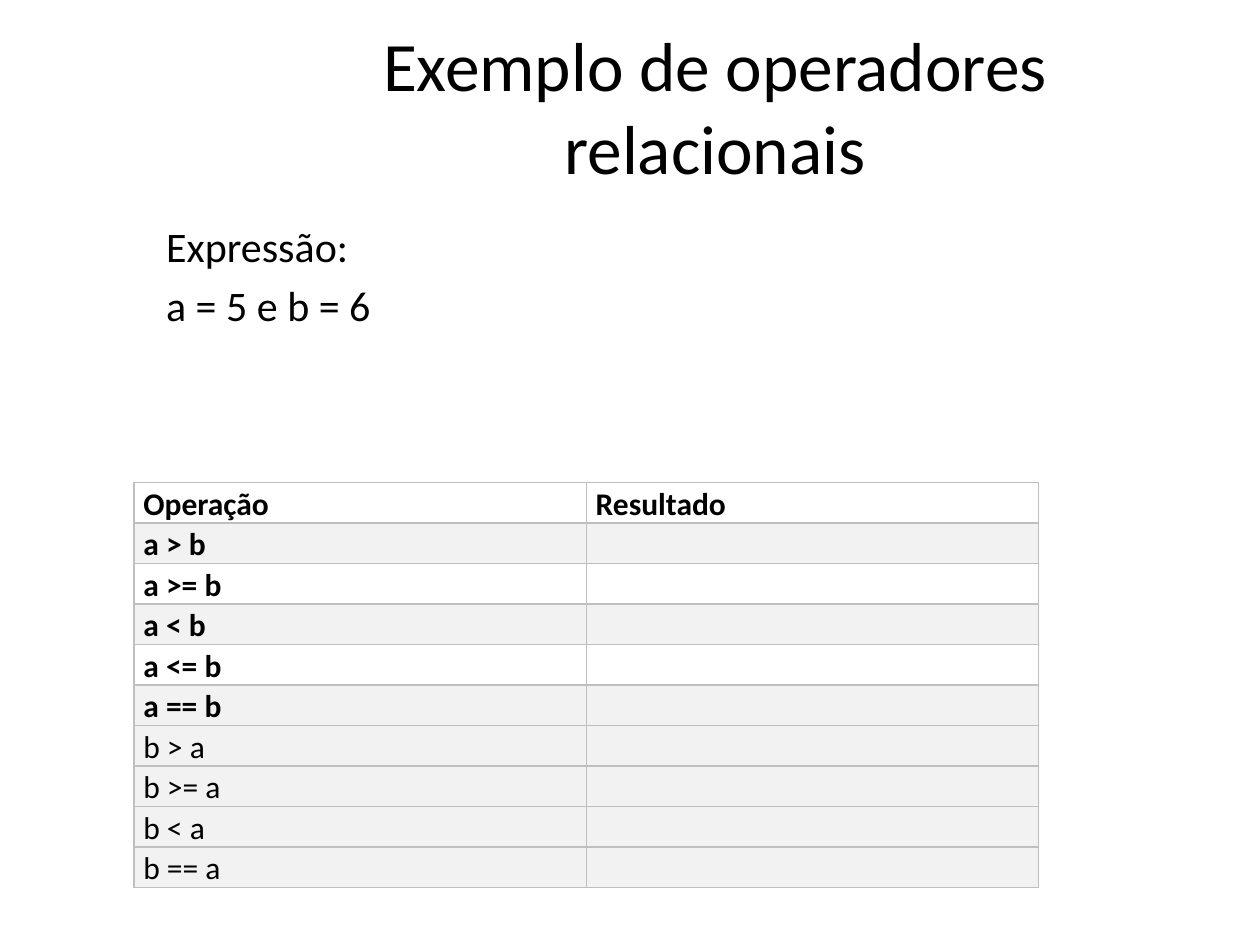
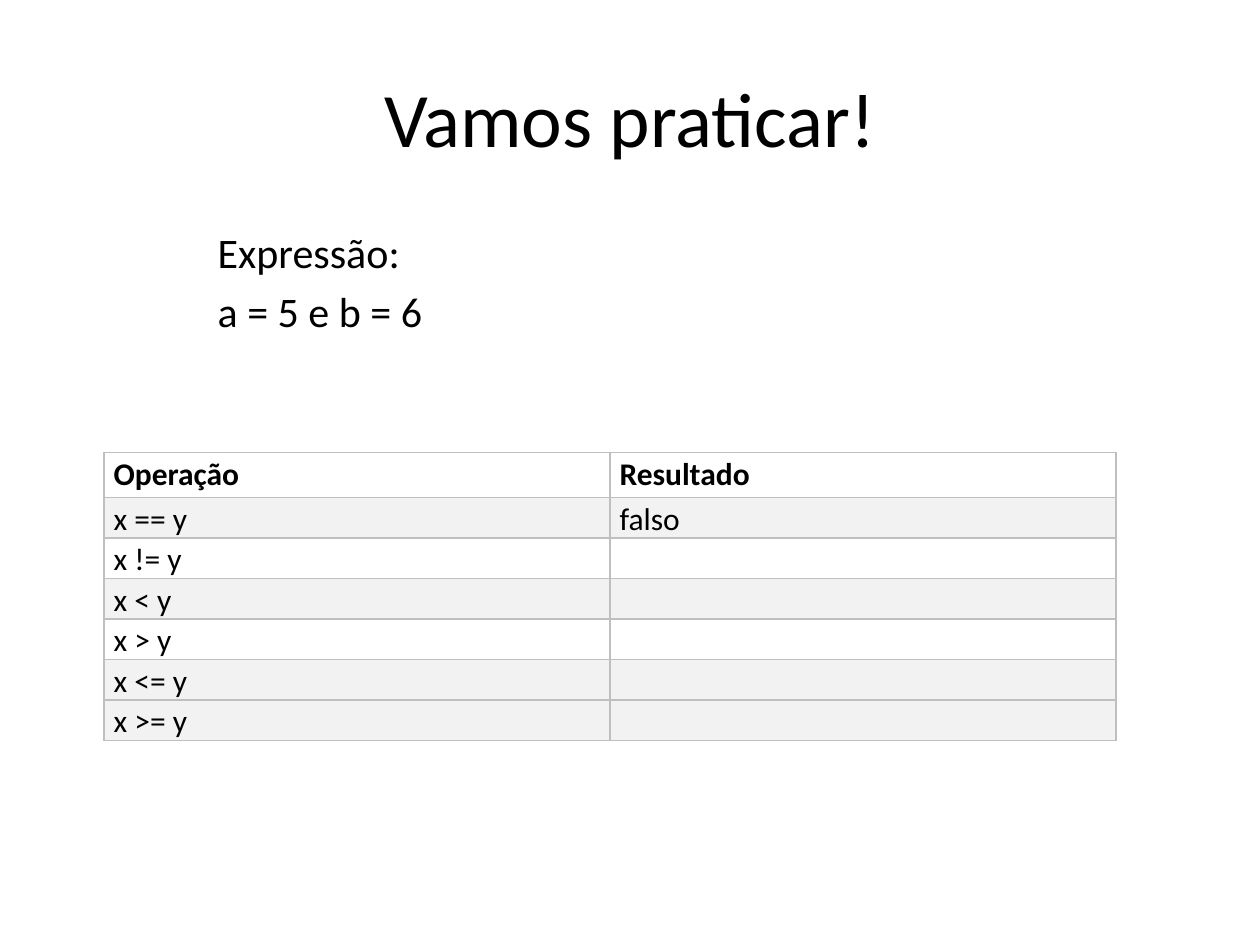
from lxml import etree
from pptx import Presentation
from pptx import util as u
from pptx.dml.color import RGBColor
from pptx.enum import text as t
from pptx.oxml.ns import qn

HUES = {"ink": "000000", "band": "F2F2F2", "rule": "BFBFBF"}
FONT = "Calibri"
ROW = 0.74
FACTS = ["Expressão:", "a = 5 e b = 6"]
HEADS = ["Operação", "Resultado"]


def hue(name):
    return RGBColor.from_string(HUES[name])


def place(shape, box):
    shape.left, shape.top, shape.width, shape.height = map(u.Cm, box)


def write(frame, lines, size=18, bold=False, align=t.PP_ALIGN.LEFT,
          before=0, pitch=None):
    for i, line in enumerate(lines):
        para = frame.add_paragraph() if i else frame.paragraphs[0]
        para.alignment = align
        para.space_before = u.Pt(before)
        if pitch:
            para.line_spacing = pitch
        run = para.add_run()
        run.text = line
        run.font.name = FONT
        run.font.size = u.Pt(size)
        run.font.bold = bold
        run.font.color.rgb = hue("ink")


def add_title(slide, box, words, size):
    title = slide.shapes.title
    place(title, box)
    frame = title.text_frame
    frame.word_wrap = True
    frame.auto_size = t.MSO_AUTO_SIZE.NONE
    frame.vertical_anchor = t.MSO_ANCHOR.MIDDLE
    write(frame, [words], size=size, align=t.PP_ALIGN.CENTER)


def add_facts(slide, box):
    frame = slide.shapes.add_textbox(*map(u.Cm, box)).text_frame
    frame.word_wrap = True
    write(frame, FACTS, size=24, before=4.8)


def edge(cell):
    props = cell._tc.get_or_add_tcPr()
    for side in ("lnL", "lnR", "lnT", "lnB"):
        line = etree.SubElement(props, qn("a:" + side), w=str(u.Pt(1)))
        fill = etree.SubElement(line, qn("a:solidFill"))
        etree.SubElement(fill, qn("a:srgbClr"), val=HUES["rule"])


def add_grid(slide, box, rows, head, bold):
    rows = [HEADS] + rows
    left, top, width = box
    high = head + ROW * (len(rows) - 1)
    size = map(u.Cm, (left, top, width, high))
    table = slide.shapes.add_table(len(rows), len(HEADS), *size).table
    for r, row in enumerate(rows):
        table.rows[r].height = u.Cm(ROW if r else head)
        for c, word in enumerate(row):
            cell = table.cell(r, c)
            cell.margin_left = cell.margin_right = u.Cm(0.19)
            cell.margin_top = cell.margin_bottom = 0
            edge(cell)
            if r % 2 or r >= 6:
                cell.fill.solid()
                cell.fill.fore_color.rgb = hue("band")
            else:
                cell.fill.background()
            if word:
                write(cell.text_frame, [word], bold=r < bold, pitch=1.07)


def add_page(deck, title, size, title_box, facts_box, grid_box, rows,
             head=ROW, bold=1):
    slide = deck.slides.add_slide(deck.slide_layouts[5])
    add_title(slide, title_box, title, size)
    add_facts(slide, facts_box)
    add_grid(slide, grid_box, rows, head, bold)


deck = Presentation()
deck.slide_width, deck.slide_height = u.Cm(25.4), u.Cm(19.05)

tests = ["a > b", "a >= b", "a < b", "a <= b", "a == b",
         "b > a", "b >= a", "b < a", "b == a"]
add_page(deck, "Exemplo de operadores relacionais", 39.6,
         (4.7, 0.33, 19.43, 3.6), (3.1, 4.32, 21.03, 12.7),
         (2.7, 9.73, 18.24), [[test, ""] for test in tests], bold=6)

signs = ["==", "!=", "<", ">", "<=", ">="]
drills = [[f"x {sign} y", "" if i else "falso"]
          for i, sign in enumerate(signs)]
add_page(deck, "Vamos praticar!", 44,
         (1.27, 0.76, 22.86, 3.18), (4.14, 4.45, 20.4, 13),
         (2.1, 9.12, 20.4), drills, head=0.91)

deck.save("out.pptx")
